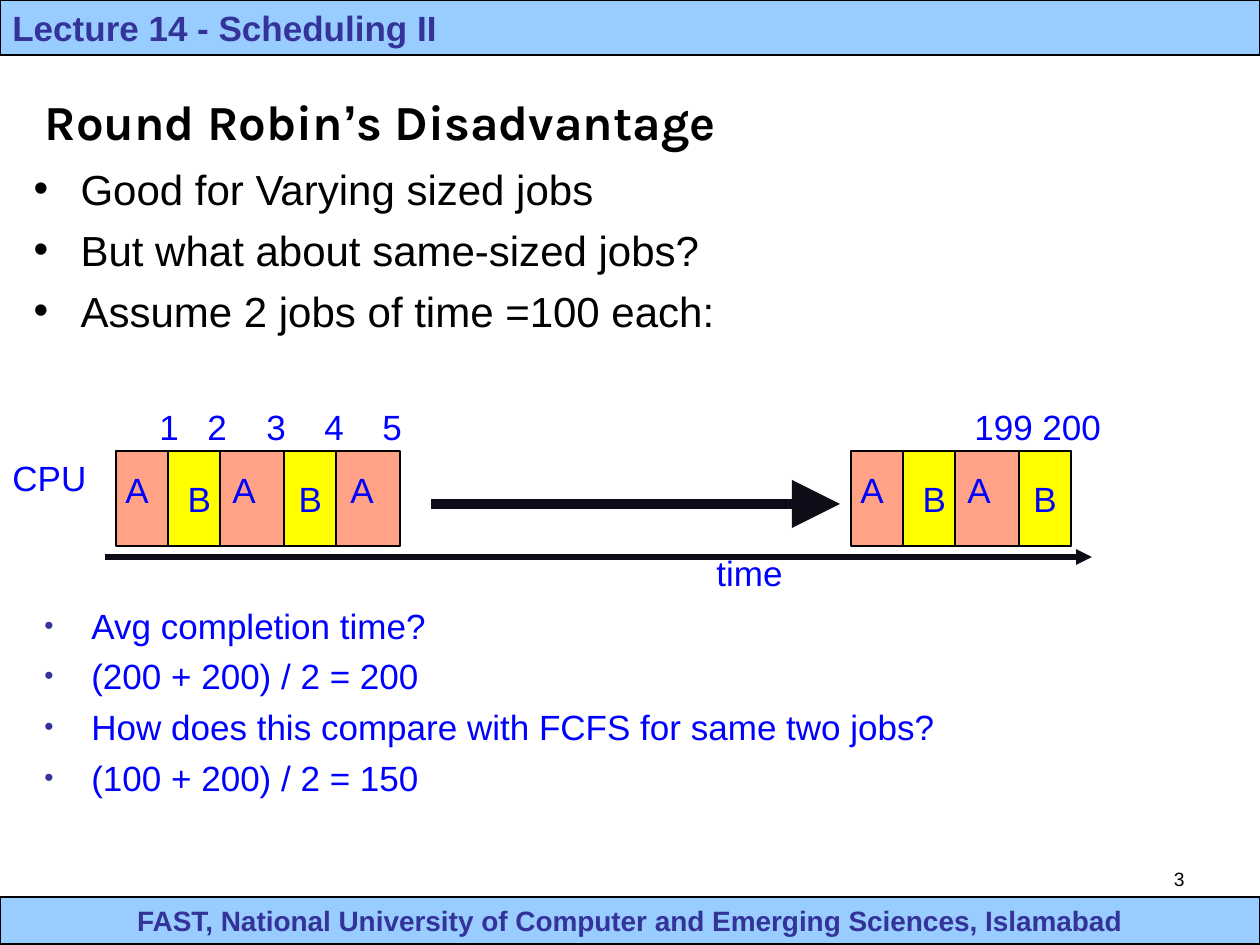
"""Build the slide on the disadvantage of round robin scheduling."""
from lxml import etree
from pptx import Presentation
from pptx import util as u
from pptx.dml.color import RGBColor
from pptx.enum import shapes, text
from pptx.oxml import ns

PX = 914400 // 126
THEME = {
    "font": "Arial", "title_font": "Karla",
    "black": "000000", "bar": "99CCFF", "navy": "333399", "blue": "0000FF",
    "job_a": "FFA285", "job_b": "FFFF00", "arrow": "0F0C19",
    "title": 28, "body": 24, "label": 20, "footer": 16, "number": 11,
}
HEADER = "Lecture 14 - Scheduling II"
FOOTER = "FAST, National University of Computer and Emerging Sciences, Islamabad"
PAGE = "3"
TITLE = [("Round Robin", "title_font"), ("’", "font"), ("s Disadvantage", "title_font")]
POINTS = ["Good for Varying sized jobs", "But what about same-sized jobs?",
          "Assume 2 jobs of time =100 each:"]
ANSWERS = ["Avg completion time?", "(200 + 200) / 2 = 200",
           "How does this compare with FCFS for same two jobs?",
           "(100 + 200) / 2 = 150"]
TICKS = "1\t2\t3\t4\t5\t199 200"
TICK_STOPS = [48, 107, 165, 223, 815]
LABELS = [("time", (704, 545, 112, 55)), ("CPU", (0, 450, 112, 55))]
BANDS = [(116, 284), (851, 220)]
A_OFFSETS = [-3, 104, 222]
B_CELLS = [(52, 10), (168, 0)]
BAND_TOP, BAND_HEIGHT, B_WIDTH = 451, 95, 52
ARROWS = [((105, 557), (1092, 557), 3, "med"), ((431, 504), (840, 504), 5.5, "lg")]
INDENT = 47


def px(*values):
    return [value * PX for value in values]


def colour(name):
    return RGBColor.from_string(THEME[name])


def assign(target, **values):
    for key, value in values.items():
        setattr(target, key, value)


def add_xml(parent, tag, **attributes):
    return etree.SubElement(parent, ns.qn(tag), attributes)


def style(run, size, ink, font="font", bold=False):
    assign(run.font, name=THEME[font], size=u.Pt(THEME[size]), bold=bold)
    run.font.color.rgb = colour(ink)


def write(frame, wording, size="label", ink="blue", bold=False, align="LEFT"):
    paragraph = frame.paragraphs[0]
    paragraph.alignment = getattr(text.PP_ALIGN, align)
    run = paragraph.add_run()
    run.text = wording
    style(run, size, ink, bold=bold)
    return paragraph


def add_label(slide, wording, place, **look):
    frame = slide.shapes.add_textbox(*px(*place)).text_frame
    frame.word_wrap = True
    return write(frame, wording, **look)


def add_block(slide, place, fill, line_width):
    block = slide.shapes.add_shape(shapes.MSO_SHAPE.RECTANGLE, *px(*place))
    block.shadow.inherit = False
    block.fill.solid()
    block.fill.fore_color.rgb = colour(fill)
    block.line.color.rgb = colour("black")
    block.line.width = u.Pt(line_width)
    return block


def add_bar(slide, place, wording, size, align):
    frame = add_block(slide, place, "bar", 0.75).text_frame
    assign(frame, word_wrap=True, vertical_anchor=text.MSO_ANCHOR.TOP)
    write(frame, wording, size, "navy", True, align)


def fill_list(frame, items, size, ink, bullet_ink, bullet_size, gap):
    assign(frame, word_wrap=True, auto_size=text.MSO_AUTO_SIZE.NONE)
    for index, item in enumerate(items):
        paragraph = frame.add_paragraph() if index else frame.paragraphs[0]
        properties = paragraph._p.get_or_add_pPr()
        properties.set("marL", str(INDENT * PX))
        properties.set("indent", str(-INDENT * PX))
        ink_holder = add_xml(properties, "a:buClr")
        add_xml(ink_holder, "a:srgbClr", val=THEME[bullet_ink])
        add_xml(properties, "a:buSzPct", val=str(bullet_size * 1000))
        add_xml(properties, "a:buFont", typeface=THEME["font"])
        add_xml(properties, "a:buChar", char="•")
        paragraph.space_before = u.Pt(gap if index else 0)
        run = paragraph.add_run()
        run.text = item
        style(run, size, ink)


def add_arrow(slide, start, end, width, head):
    arrow = slide.shapes.add_connector(
        shapes.MSO_CONNECTOR.STRAIGHT, *px(*start, *end))
    arrow.line.color.rgb = colour("arrow")
    arrow.line.width = u.Pt(width)
    add_xml(arrow.line._get_or_add_ln(), "a:tailEnd",
            type="triangle", w=head, len=head)
    add_xml(arrow._element.spPr, "a:effectLst")


def add_timeline(slide):
    ticks = add_label(slide, TICKS, (147, 399, 1008, 55))
    stops = add_xml(ticks._p.get_or_add_pPr(), "a:tabLst")
    for stop in TICK_STOPS:
        add_xml(stops, "a:tab", pos=str(stop * PX), algn="l")
    for wording, place in LABELS:
        add_label(slide, wording, place)
    for left, width in BANDS:
        add_block(slide, (left, BAND_TOP, width, BAND_HEIGHT), "job_a", 1)
        for offset, shift in B_CELLS:
            place = (left + offset, BAND_TOP, B_WIDTH, BAND_HEIGHT)
            frame = add_block(slide, place, "job_b", 1).text_frame
            assign(frame, word_wrap=False, margin_left=(13 + shift) * PX,
                   vertical_anchor=text.MSO_ANCHOR.MIDDLE)
            write(frame, "B", align="CENTER")
        for offset in A_OFFSETS:
            if offset < width:
                add_label(slide, "A", (left + offset, BAND_TOP + 11, 54, 55))
    for arrow in ARROWS:
        add_arrow(slide, *arrow)


def place_holder(holder, place):
    assign(holder, **dict(zip(("left", "top", "width", "height"), px(*place))))
    return holder.text_frame


def main():
    deck = Presentation()
    assign(deck, slide_width=1260 * PX, slide_height=945 * PX)
    slide = deck.slides.add_slide(deck.slide_layouts[1])
    add_bar(slide, (0, 897, 1260, 47), FOOTER, "footer", "CENTER")
    add_bar(slide, (0, 0, 1260, 55), HEADER, "label", "LEFT")
    add_label(slide, PAGE, (903, 861, 294, 65), size="number", ink="black", align="RIGHT")

    title = place_holder(slide.shapes.title, (32, 73, 1134, 95))
    assign(title, vertical_anchor=text.MSO_ANCHOR.MIDDLE,
           auto_size=text.MSO_AUTO_SIZE.NONE)
    heading = title.paragraphs[0]
    heading.alignment = text.PP_ALIGN.LEFT
    for wording, font in TITLE:
        run = heading.add_run()
        run.text = wording
        style(run, "title", "black", font, True)

    points = place_holder(slide.placeholders[1], (21, 157, 1239, 242))
    fill_list(points, POINTS, "body", "black", "black", 100, 6)
    add_timeline(slide)
    answers = slide.shapes.add_textbox(*px(32, 598, 1228, 283)).text_frame
    fill_list(answers, ANSWERS, "label", "blue", "navy", 75, 5)
    deck.save("out.pptx")


if __name__ == "__main__":
    main()
